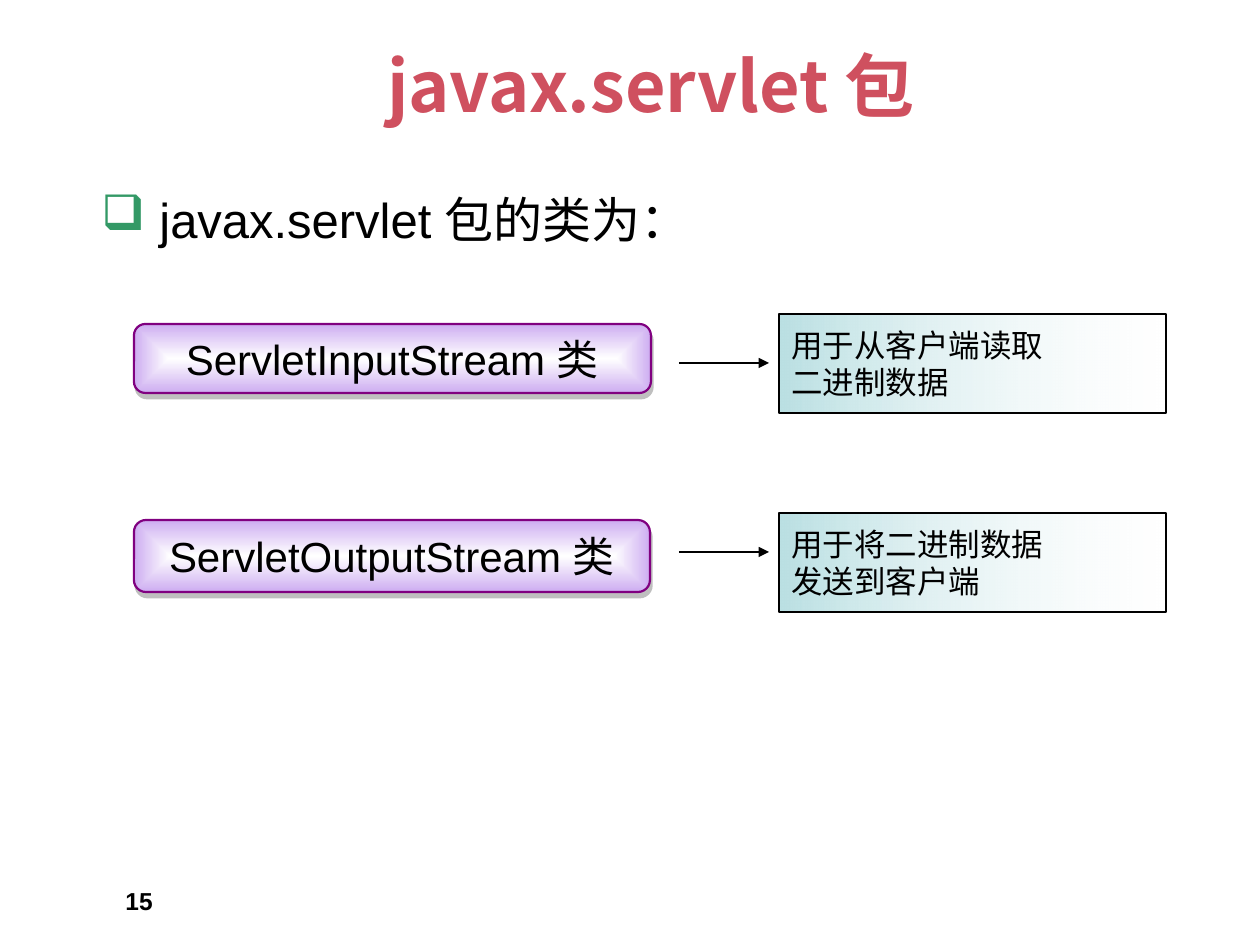
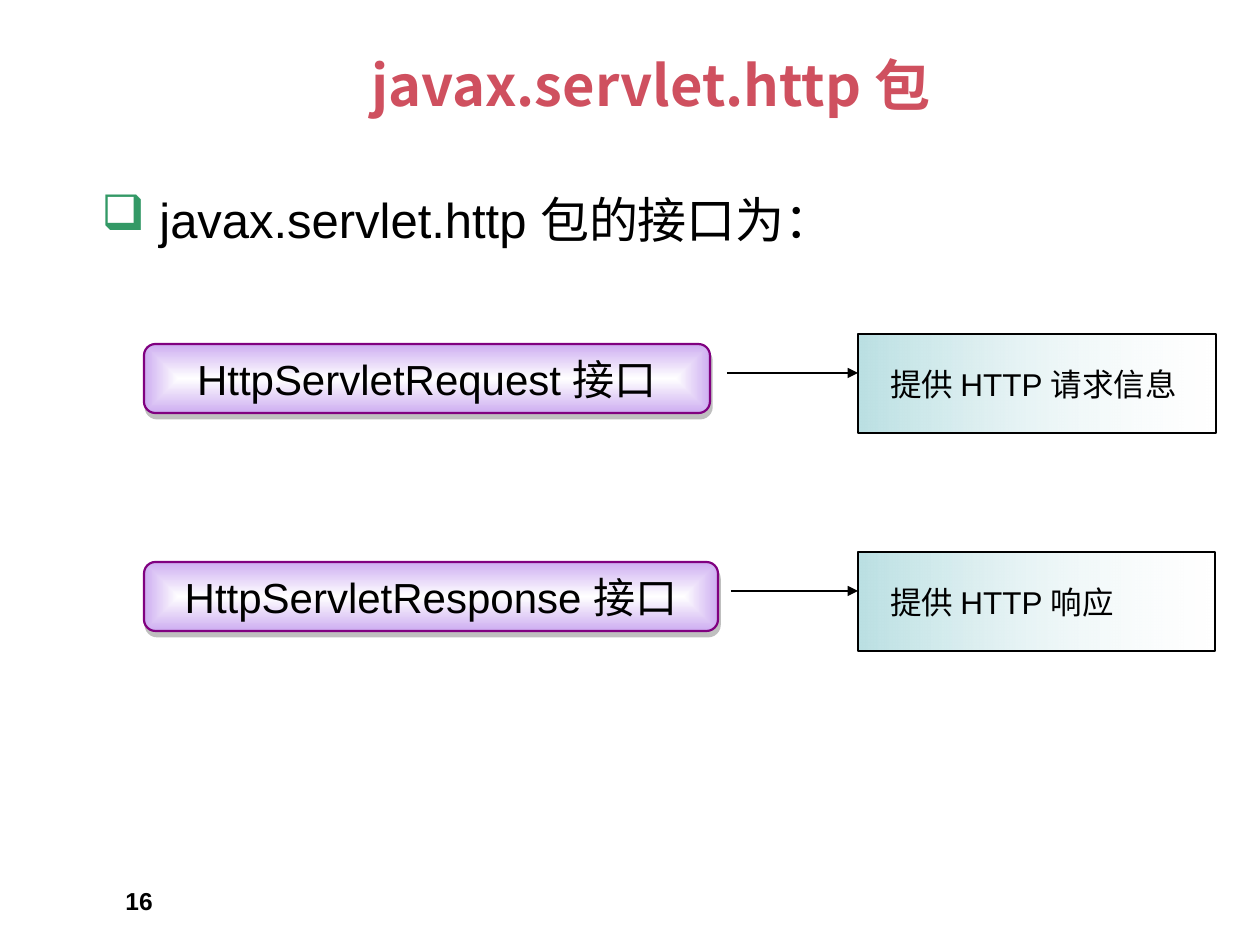
from lxml import etree
from pptx import Presentation
from pptx.dml.color import RGBColor
from pptx.enum.shapes import MSO_CONNECTOR as Connector, MSO_SHAPE as Shape
from pptx.enum.text import MSO_ANCHOR as Anchor, PP_ALIGN as Align
from pptx.oxml import parse_xml
from pptx.oxml.ns import nsdecls, qn
from pptx.util import Pt

COLORS = {
    "title": "CF505F",
    "text": "000000",
    "bullet": "339966",
    "class_line": "800080",
    "class_edge": "CDADF1",
    "note_start": "BBE0E3",
    "white": "FFFFFF",
    "shadow": "808080",
}
LATIN = "Arial"
CJK = "Noto Sans CJK SC"
EMU_PER_PX = 914400 / 126


def px(length):
    return round(length * EMU_PER_PX)


def rgb(name):
    return RGBColor.from_string(COLORS[name])


class Deck:
    def __init__(self):
        self.presentation = Presentation()
        self.presentation.slide_width = px(1260)
        self.presentation.slide_height = px(945)
        self.slide = None

    def add_slide(self):
        layout = self.presentation.slide_layouts[6]
        self.slide = self.presentation.slides.add_slide(layout)

    def set_text(self, shape, lines, size, color="text", font=LATIN, bold=False,
                 align=Align.LEFT, anchor=Anchor.MIDDLE, wrap=True, indent=0, bullet=None):
        frame = shape.text_frame
        frame.word_wrap = wrap
        frame.vertical_anchor = anchor
        for index, line in enumerate(lines):
            paragraph = frame.add_paragraph() if index else frame.paragraphs[0]
            paragraph.alignment = align
            properties = paragraph._p.get_or_add_pPr()
            properties.set("marL", str(px(indent)))
            if bullet:
                properties.set("indent", str(-px(indent)))
                bullet_color = etree.SubElement(properties, qn("a:buClr"))
                etree.SubElement(bullet_color, qn("a:srgbClr"), val=COLORS["bullet"])
                etree.SubElement(properties, qn("a:buChar"), char=bullet)
            run = paragraph.add_run()
            run.text = line
            run.font.size = Pt(size)
            run.font.bold = bold
            run.font.color.rgb = rgb(color)
            run.font.name = font
            etree.SubElement(run._r.get_or_add_rPr(), qn("a:ea"), typeface=CJK)

    def text(self, box, content, size, **style):
        shape = self.slide.shapes.add_textbox(*map(px, box))
        self.set_text(shape, [content], size, **style)

    def title(self, content, size):
        self.text((84, 29, 1134, 110), content, size, color="title", font=CJK,
                  bold=True, align=Align.CENTER)

    def heading(self, content):
        self.text((89, 183, 1028, 72), content, 28, anchor=Anchor.TOP,
                  indent=58, bullet="❑")

    def page_number(self, number):
        self.text((113, 880, 294, 39), str(number), 14, bold=True, anchor=Anchor.TOP)

    def gradient_box(self, kind, box, stops, direction, line, width):
        shape = self.slide.shapes.add_shape(kind, *map(px, box))
        shape.shadow.inherit = False
        shape.line.color.rgb = rgb(line)
        shape.line.width = Pt(width)
        shape.fill.background()
        stop_list = "".join(
            f'<a:gs pos="{position}"><a:srgbClr val="{COLORS[name]}">'
            f'<a:alpha val="{alpha}"/></a:srgbClr></a:gs>'
            for position, name, alpha in stops)
        gradient = parse_xml(f'<a:gradFill {nsdecls("a")} rotWithShape="1">'
                             f'<a:gsLst>{stop_list}</a:gsLst>{direction}</a:gradFill>')
        properties = shape._element.spPr
        properties.replace(properties.find(qn("a:noFill")), gradient)
        return shape

    def class_box(self, box, name):
        shape = self.gradient_box(
            Shape.FLOWCHART_ALTERNATE_PROCESS, box,
            [(0, "white", 100000), (100000, "class_edge", 100000)],
            '<a:path path="rect"><a:fillToRect l="50000" t="50000" r="50000" b="50000"/></a:path>',
            "class_line", 1.25)
        effects = shape._element.spPr.find(qn("a:effectLst"))
        effects.append(parse_xml(
            f'<a:outerShdw {nsdecls("a")} dist="{Pt(3.2)}" dir="{72 * 60000}" algn="ctr" '
            f'rotWithShape="0"><a:srgbClr val="{COLORS["shadow"]}">'
            '<a:alpha val="50000"/></a:srgbClr></a:outerShdw>'))
        self.set_text(shape, [name], 24, align=Align.CENTER, wrap=False)

    def note_box(self, box, lines, indent):
        shape = self.gradient_box(
            Shape.RECTANGLE, box,
            [(0, "note_start", 100000), (100000, "white", 26000)],
            '<a:lin ang="0" scaled="1"/>', "text", 0.75)
        self.set_text(shape, lines, 18, wrap=False, indent=indent)

    def arrow(self, left, right, y):
        connector = self.slide.shapes.add_connector(
            Connector.STRAIGHT, px(left), px(y), px(right), px(y))
        connector.line.color.rgb = rgb("text")
        connector.line.width = Pt(1.5)
        properties = connector._element.spPr
        etree.SubElement(properties.find(qn("a:ln")), qn("a:tailEnd"), type="triangle")
        etree.SubElement(properties, qn("a:effectLst"))


SLIDES = [
    {
        "number": 15, "title": "javax.servlet 包", "size": 40,
        "heading": "javax.servlet 包的类为：", "indent": 0,
        "rows": [
            ("ServletInputStream 类", (134, 324, 517, 69), (679, 769, 363),
             (779, 314, 387, 99), ["用于从客户端读取", "二进制数据"]),
            ("ServletOutputStream 类", (134, 520, 516, 72), (679, 769, 552),
             (779, 513, 387, 99), ["用于将二进制数据", "发送到客户端"]),
        ],
    },
    {
        "number": 16, "title": "javax.servlet.http 包", "size": 32,
        "heading": "javax.servlet.http 包的接口为：", "indent": 20,
        "rows": [
            ("HttpServletRequest 接口", (144, 344, 566, 69), (727, 858, 373),
             (858, 334, 358, 99), ["提供 HTTP 请求信息"]),
            ("HttpServletResponse 接口", (144, 562, 574, 69), (731, 858, 591),
             (858, 552, 357, 99), ["提供 HTTP 响应"]),
        ],
    },
]


def main():
    deck = Deck()
    for content in SLIDES:
        deck.add_slide()
        deck.title(content["title"], content["size"])
        for name, class_area, arrow, note_area, lines in content["rows"]:
            deck.class_box(class_area, name)
            deck.note_box(note_area, lines, content["indent"])
            deck.arrow(*arrow)
        deck.heading(content["heading"])
        deck.page_number(content["number"])
    deck.presentation.save("out.pptx")


if __name__ == "__main__":
    main()
